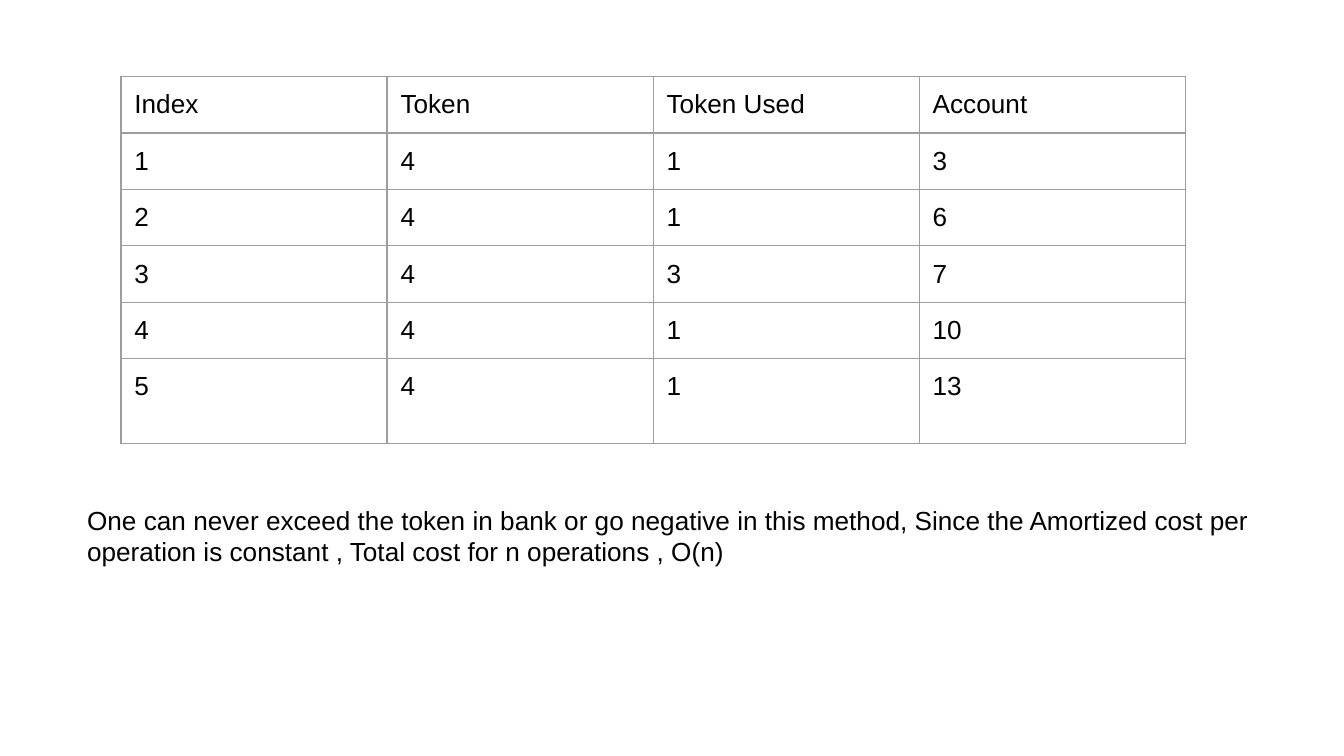
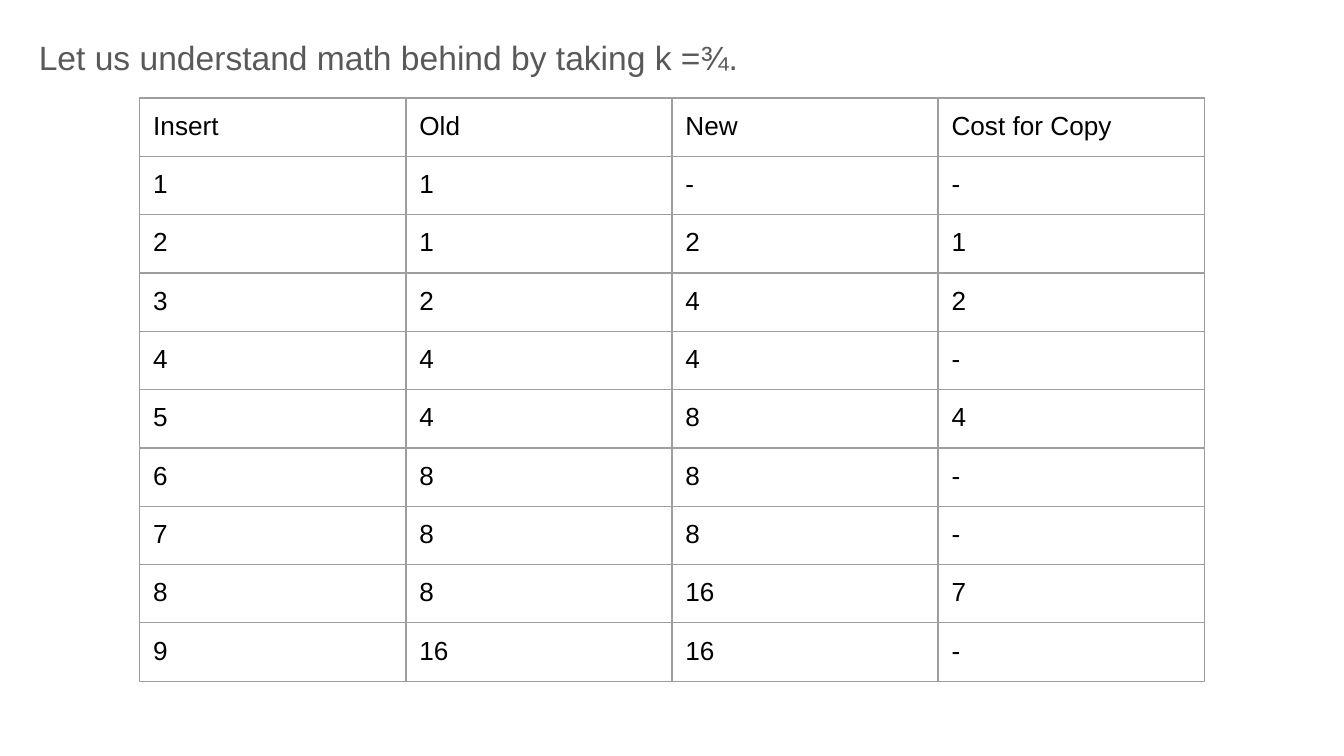
from lxml.etree import SubElement
from pptx import Presentation
from pptx.dml.color import RGBColor
from pptx.oxml.ns import qn
from pptx.util import Inches, Pt

FONT = "Arial"
BLACK, GREY, BORDER = "000000", "595959", "9E9E9E"
INSET = Inches(0.1)
COLUMN_WIDTH, ROW_HEIGHT = Inches(1.98), Inches(0.42)
FRAME_SIZE = Inches(3.28)


def write(holder, text, size=14, color=BLACK):
    """Put text in a cell or text box, with the shared inset and font."""
    holder.margin_left = holder.margin_right = INSET
    holder.margin_top = holder.margin_bottom = INSET
    para = getattr(holder, "text_frame", holder).paragraphs[0]
    para.text = text
    for span in para.runs:
        span.font.name = FONT
        span.font.size = Pt(size)
        span.font.color.rgb = RGBColor.from_string(color)
    return para


def add_grid(page, left, top, rows, last_height=ROW_HEIGHT):
    """Add an unfilled table with thin grey borders."""
    frame = page.shapes.add_table(len(rows), len(rows[0]), Inches(left), Inches(top),
                                  FRAME_SIZE, FRAME_SIZE)
    table = frame.table
    table.first_row = table.horz_banding = False
    for column in table.columns:
        column.width = COLUMN_WIDTH
    for row, values in zip(table.rows, rows):
        row.height = ROW_HEIGHT
        for cell, value in zip(row.cells, values):
            write(cell, value)
            properties = cell._tc.get_or_add_tcPr()
            for side in ("a:lnL", "a:lnR", "a:lnT", "a:lnB"):
                line = SubElement(properties, qn(side), w=str(Pt(0.75)))
                fill = SubElement(line, qn("a:solidFill"))
                SubElement(fill, qn("a:srgbClr"), val=BORDER)
            cell.fill.background()
    row.height = last_height
    # Row and column changes resize the frame, so its size is set last.
    frame.width = frame.height = FRAME_SIZE


deck = Presentation()
deck.slide_width = Inches(10)
deck.slide_height = deck.slide_width * 9 // 16
blank = deck.slide_layouts[6]

# Slide 1: token account
page = deck.slides.add_slide(blank)
add_grid(page, 0.9, 0.57, [
    ("Index", "Token", "Token Used", "Account"),
    ("1", "4", "1", "3"),
    ("2", "4", "1", "6"),
    ("3", "4", "3", "7"),
    ("4", "4", "1", "10"),
    ("5", "4", "1", "13"),
], last_height=Inches(0.63))

box = page.shapes.add_textbox(Inches(0.55), Inches(3.65), Inches(8.9), Inches(0.67))
box.text_frame.word_wrap = True
write(box.text_frame,
      "One can never exceed the token in bank or go negative in this method, "
      "Since the Amortized cost per operation is constant , "
      "Total cost for n operations , O(n)")

# Slide 2: cost of copying
page = deck.slides.add_slide(blank)
box = page.shapes.add_textbox(Inches(0.19), Inches(0.13), Inches(9.32), Inches(5.39))
box.text_frame.word_wrap = True
intro = write(box.text_frame, "Let us understand math behind by taking k =¾.", 18, GREY)
intro.line_spacing = 1.15

add_grid(page, 1.04, 0.73, [
    ("Insert", "Old", "New", "Cost for Copy"),
    ("1", "1", "-", "-"),
    ("2", "1", "2", "1"),
    ("3", "2", "4", "2"),
    ("4", "4", "4", "-"),
    ("5", "4", "8", "4"),
    ("6", "8", "8", "-"),
    ("7", "8", "8", "-"),
    ("8", "8", "16", "7"),
    ("9", "16", "16", "-"),
])

deck.save("out.pptx")
